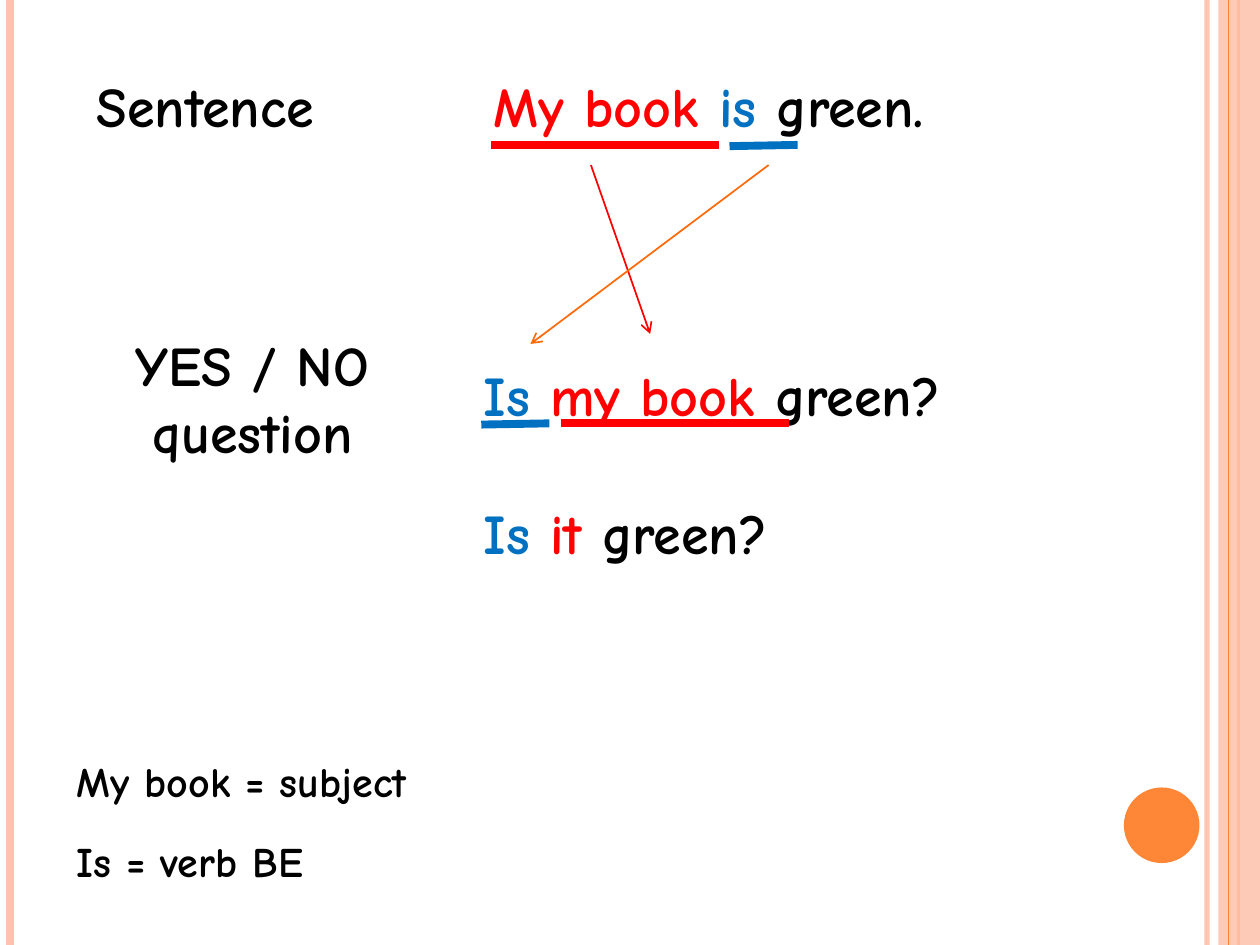
from lxml import etree
from pptx import Presentation
from pptx.dml.color import RGBColor
from pptx.enum.shapes import MSO_CONNECTOR, MSO_SHAPE
from pptx.enum.text import MSO_AUTO_SIZE, PP_ALIGN
from pptx.oxml.ns import qn
from pptx.util import Inches, Pt

STRAIGHT = MSO_CONNECTOR.STRAIGHT
RECT, OVAL = MSO_SHAPE.RECTANGLE, MSO_SHAPE.OVAL
LEFT, CENTER = PP_ALIGN.LEFT, PP_ALIGN.CENTER
FIT_SHAPE = MSO_AUTO_SIZE.SHAPE_TO_FIT_TEXT
FONT = "Comic Neue"
COLORS = {
    "text": "000000",
    "subject": "FF0000",
    "verb": "0070C0",
    "peach": "FEC3AE",
    "orange": "FE8637",
    "arrow": "FF6B0A",
}


class SlideBuilder:
    def __init__(self, slide, font):
        self.slide = slide
        self.font = font

    def color(self, name):
        return RGBColor.from_string(COLORS[name])

    def set_alpha(self, element, percent):
        clr = element.find(".//" + qn("a:srgbClr"))
        etree.SubElement(clr, qn("a:alpha"), val=str(percent * 1000))

    def line(self, x1, y1, x2, y2, color, width, arrow=False, alpha=None):
        sp = self.slide.shapes.add_connector(
            STRAIGHT, Inches(x1), Inches(y1), Inches(x2), Inches(y2))
        sp.line.color.rgb = self.color(color)
        sp.line.width = Pt(width)
        ln = sp.line._get_or_add_ln()
        if alpha:
            self.set_alpha(ln, alpha)
        if arrow:
            etree.SubElement(ln, qn("a:tailEnd"), type="arrow")
        etree.SubElement(sp._element.spPr, qn("a:effectLst"))

    def shape(self, kind, x, y, w, h, color, alpha=None):
        sp = self.slide.shapes.add_shape(
            kind, Inches(x), Inches(y), Inches(w), Inches(h))
        sp.shadow.inherit = False
        sp.fill.solid()
        sp.fill.fore_color.rgb = self.color(color)
        sp.line.fill.background()
        if alpha:
            self.set_alpha(sp._element.spPr, alpha)

    def text(self, x, y, w, h, runs, size=32, align=LEFT):
        sp = self.slide.shapes.add_textbox(
            Inches(x), Inches(y), Inches(w), Inches(h))
        tf = sp.text_frame
        tf.word_wrap = True
        tf.auto_size = FIT_SHAPE
        p = tf.paragraphs[0]
        p.alignment = align
        p.font.name = self.font
        p.font.size = Pt(size)
        p.font.bold = True
        p.font.color.rgb = self.color("text")
        for words, color in runs:
            r = p.add_run()
            r.text = words
            if color != "text":
                r.font.color.rgb = self.color(color)


def main():
    prs = Presentation()
    prs.slide_width, prs.slide_height = Inches(10), Inches(7.5)
    s = SlideBuilder(prs.slides.add_slide(prs.slide_layouts[6]), FONT)

    s.line(9.58, 0, 9.58, 7.5, "peach", 3, alpha=93)
    s.line(0.08, 0, 0.08, 7.5, "peach", 4.5)
    s.line(9.83, 0, 9.83, 7.5, "orange", 1.5)
    s.shape(RECT, 9.67, 0, 0.33, 7.5, "peach", alpha=87)
    s.line(9.75, 0, 9.75, 7.5, "orange", 0.75)
    s.shape(OVAL, 8.92, 6.25, 0.6, 0.6, "orange")

    sentences = [
        (3.82, 0.52, [("My book ", "subject"), ("is", "verb"), (" green.", "text")]),
        (3.74, 2.81, [("Is", "verb"), (" my book ", "subject"), ("green?", "text")]),
        (3.74, 3.91, [("Is", "verb"), (" it ", "subject"), ("green?", "text")]),
    ]
    for x, y, runs in sentences:
        s.text(x, y, 4.8, 0.64, runs)

    s.text(0.67, 0.52, 2.68, 0.64, [("Sentence", "text")])
    s.text(0.51, 2.57, 2.99, 1.18, [("YES / NO question", "text")], align=CENTER)

    for x, y in [(3.9, 1.15), (4.45, 3.36)]:
        s.line(x, y, x + 1.81, y, "subject", 4.5)
    for x, y in [(5.79, 1.16), (3.82, 3.37)]:
        s.line(x, y, x + 0.54, y - 0.01, "verb", 4.5)

    s.line(4.69, 1.31, 5.16, 2.65, "subject", 1, arrow=True)
    s.line(6.1, 1.31, 4.21, 2.73, "arrow", 1, arrow=True)

    for y, words in [(5.95, "My book = subject"), (6.58, "Is = verb BE")]:
        s.text(0.51, y, 5.2, 0.5, [(words, "text")], size=24)

    prs.save("out.pptx")


if __name__ == "__main__":
    main()
